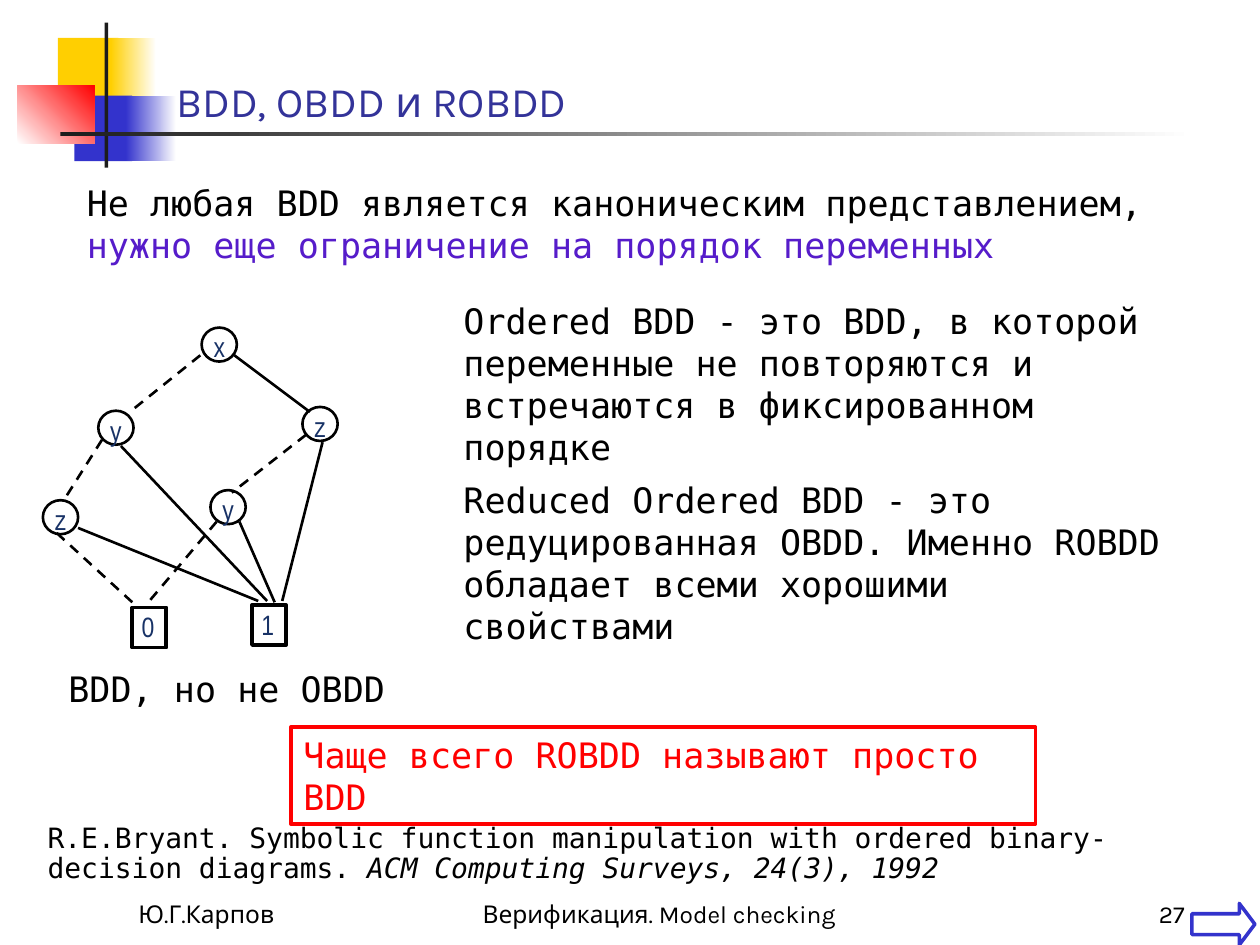
from lxml import etree
from pptx import Presentation
from pptx.dml.color import RGBColor
from pptx.enum.dml import MSO_LINE
from pptx.enum.shapes import MSO_CONNECTOR, MSO_SHAPE
from pptx.enum.text import MSO_ANCHOR, MSO_AUTO_SIZE, PP_ALIGN
from pptx.oxml.ns import qn
from pptx.util import Inches, Pt

RECT, OVAL, ARROW = MSO_SHAPE.RECTANGLE, MSO_SHAPE.OVAL, MSO_SHAPE.RIGHT_ARROW
STRAIGHT, DASH = MSO_CONNECTOR.STRAIGHT, MSO_LINE.DASH
LEFT, MID, RIGHT = PP_ALIGN.LEFT, PP_ALIGN.CENTER, PP_ALIGN.RIGHT
TOP, LOW = MSO_ANCHOR.TOP, MSO_ANCHOR.BOTTOM
FIXED = MSO_AUTO_SIZE.NONE
MONO, SANS, SLIM = "DejaVu Sans Mono", "Karla", "Arial Narrow"
BLACK, WHITE, RED, BLUE = "000000", "FFFFFF", "FF0000", "3333CC"
GOLD, DARK, NAVY, VIOLET = "FFCF01", "1C1C1C", "183266", "561CCA"


def paint(fill, tone):
    fill.solid()
    fill.fore_color.rgb = RGBColor.from_string(tone)


def write(box, runs, size, face, align=LEFT, anchor=TOP, space=1.0):
    frame = box.text_frame
    form = {"word_wrap": True, "auto_size": FIXED, "vertical_anchor": anchor}
    for key, val in form.items():
        setattr(frame, key, val)
    para = frame.paragraphs[0]
    for key, val in {"alignment": align, "line_spacing": space}.items():
        setattr(para, key, val)
    for words, tone, slant in runs:
        run = para.add_run()
        run.text = words
        form = {"size": Pt(size), "name": face, "italic": slant, "bold": False}
        for key, val in form.items():
            setattr(run.font, key, val)
        paint(run.font.fill, tone)


deck = Presentation()
deck.slide_width, deck.slide_height = Inches(10), Inches(7.5)
slide = deck.slides.add_slide(deck.slide_layouts[5])
shapes = slide.shapes
paint(slide.background.fill, WHITE)

decor = [
    (0.46, 0.3, 0.48, 0.52, GOLD, None, 0),
    (0.88, 0.3, 0.36, 0.52, GOLD, WHITE, 0),
    (0.59, 0.76, 0.46, 0.52, BLUE, None, 0),
    (1, 0.76, 0.4, 0.52, BLUE, WHITE, 0),
    (0.14, 0.68, 0.61, 0.46, WHITE, RED, 45),
    (0.83, 0.18, 0.03, 1.15, DARK, None, 0),
    (0.48, 1.05, 9, 0.03, DARK, WHITE, 0),
]
for x, y, w, h, tone, end, angle in decor:
    block = shapes.add_shape(RECT, Inches(x), Inches(y), Inches(w), Inches(h))
    block.shadow.inherit = False
    block.line.fill.background()
    if end:
        block.fill.gradient()
        block.fill.gradient_angle = angle
        for stop, hue in zip(block.fill.gradient_stops, (tone, end)):
            stop.color.rgb = RGBColor.from_string(hue)
    else:
        paint(block.fill, tone)

title = shapes.title
place = {"left": 1.3, "top": 0.21, "width": 7.09, "height": 0.84}
for key, val in place.items():
    setattr(title, key, Inches(val))
write(title, [("BDD, OBDD и ROBDD", "333399", False)], 24, SANS, anchor=LOW)

feet = [
    (1, 2.08, "Ю.Г.Карпов", LEFT),
    (3.67, 3.17, "Верификация. Model checking ", MID),
    (7.42, 2.08, "27", RIGHT),
]
for x, w, words, align in feet:
    box = shapes.add_textbox(Inches(x), Inches(6.92), Inches(w), Inches(0.5))
    write(box, [(words, BLACK, False)], 14, SANS, align, LOW)

texts = [
    (0.59, 1.39, 8.58, 0.77, 20, LEFT, 1.0, [
        ("Не любая BDD является каноническим представлением, ", BLACK, False),
        ("нужно еще ограничение на порядок переменных", VIOLET, False)]),
    (3.58, 2.33, 6.06, 1.1, 20, LEFT, 1.0, [
        ("Ordered BDD - это BDD, в которой переменные не повторяются "
         "и встречаются в фиксированном порядке", BLACK, False)]),
    (3.58, 3.75, 5.75, 1.1, 20, LEFT, 1.0, [
        ("Reduced Ordered BDD - это редуцированная OBDD. Именно ROBDD "
         "обладает всеми хорошими свойствами", BLACK, False)]),
    (0.38, 5.25, 2.84, 0.44, 20, MID, 1.0, [
        ("BDD, но не OBDD", BLACK, False)]),
    (0.28, 6.49, 9.21, 0.58, 16, LEFT, 0.9, [
        ("R.E.Bryant. Symbolic function manipulation with ordered "
         "binary-decision diagrams. ", BLACK, False),
        ("ACM Computing Surveys, 24(3), 1992", BLACK, True)]),
]
for x, y, w, h, size, align, space, runs in texts:
    box = shapes.add_textbox(Inches(x), Inches(y), Inches(w), Inches(h))
    write(box, runs, size, MONO, align, space=space)

note = shapes.add_shape(RECT, Inches(2.31), Inches(5.77), Inches(5.91), Inches(0.77))
write(note, [("Чаще всего ROBDD называют просто BDD", RED, False)], 20, MONO)
arrow = shapes.add_shape(ARROW, Inches(9.46), Inches(7.17), Inches(0.5), Inches(0.33))
arrow.adjustments[1] = 0.375
for shape, tone in ((note, RED), (arrow, BLUE)):
    shape.shadow.inherit = False
    shape.fill.background()
    paint(shape.line.fill, tone)
    shape.line.width = Pt(2)

graph = shapes.add_group_shape().shapes
edges = [
    (1.59, 2.82, 1.03, 3.27, True),
    (1.86, 2.82, 2.46, 3.27, False),
    (0.81, 3.49, 0.5, 3.98, True),
    (0.96, 3.54, 2.12, 4.77, False),
    (2.43, 3.45, 1.84, 3.91, True),
    (2.56, 3.51, 2.24, 4.77, False),
    (0.45, 4.23, 1.05, 4.78, True),
    (0.62, 4.19, 2.05, 4.77, False),
    (1.72, 4.14, 1.16, 4.8, True),
    (1.9, 4.14, 2.18, 4.78, False),
]
for x, y, u, v, dashed in edges:
    edge = graph.add_connector(STRAIGHT, Inches(x), Inches(y), Inches(u), Inches(v))
    paint(edge.line.fill, BLACK)
    edge.line.width = Pt(1.5)
    if dashed:
        edge.line.dash_style = DASH
    etree.SubElement(edge._element.spPr, qn("a:effectLst"))

nodes = [
    (1.6, 2.6, "x", OVAL),
    (0.78, 3.26, "y", OVAL),
    (2.4, 3.23, "z", OVAL),
    (0.34, 3.97, "z", OVAL),
    (1.67, 3.89, "y", OVAL),
    (1.05, 4.82, "0", RECT),
    (2, 4.8, "1", RECT),
]
sizes = {OVAL: (0.28, 0.27, 1.5, 0.07, 0.42), RECT: (0.27, 0.32, 2, 0.05, 0.35)}
for x, y, name, kind in nodes:
    w, h, weight, shift, wide = sizes[kind]
    node = graph.add_shape(kind, Inches(x), Inches(y), Inches(w), Inches(h))
    node.shadow.inherit = False
    node.fill.background()
    paint(node.line.fill, BLACK)
    node.line.width = Pt(weight)
    label = graph.add_textbox(
        Inches(x - shift), Inches(y - 0.03), Inches(wide), Inches(0.37))
    write(label, [(name, NAVY, False)], 16, SLIM, MID)

deck.save("out.pptx")
